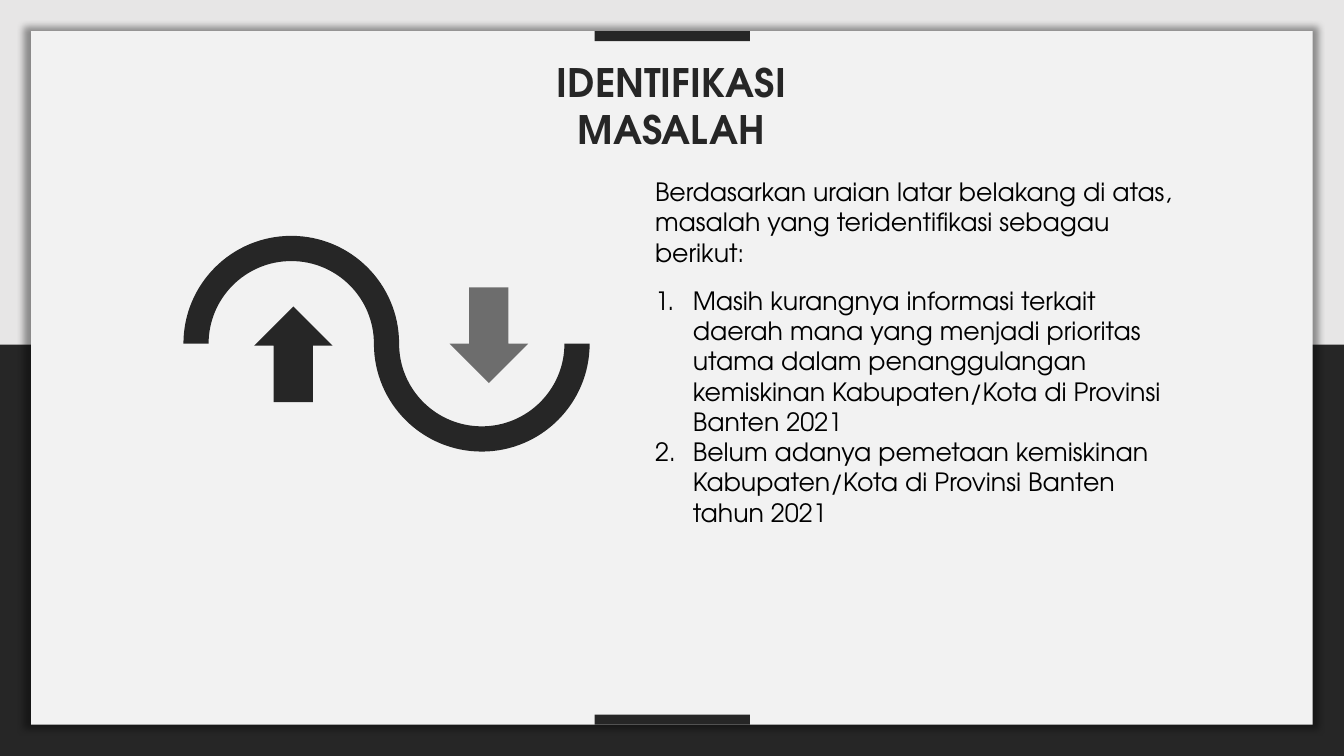
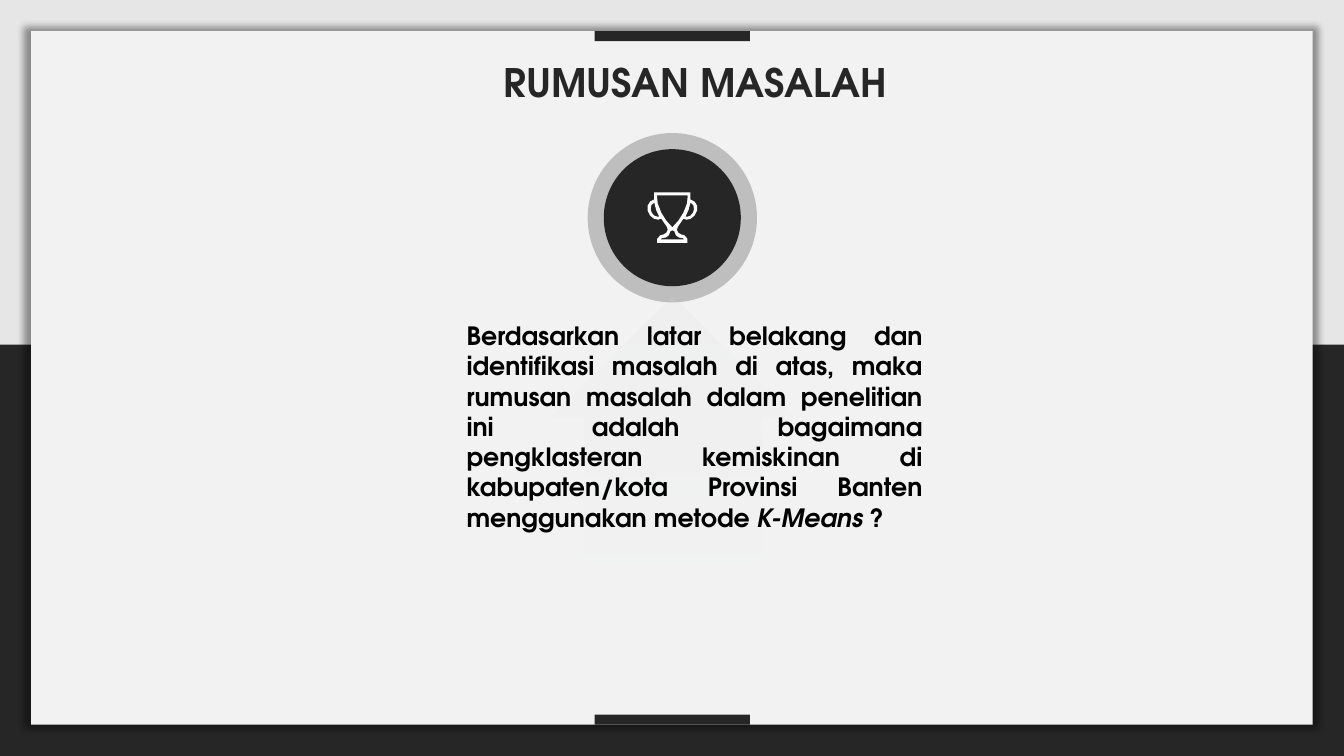
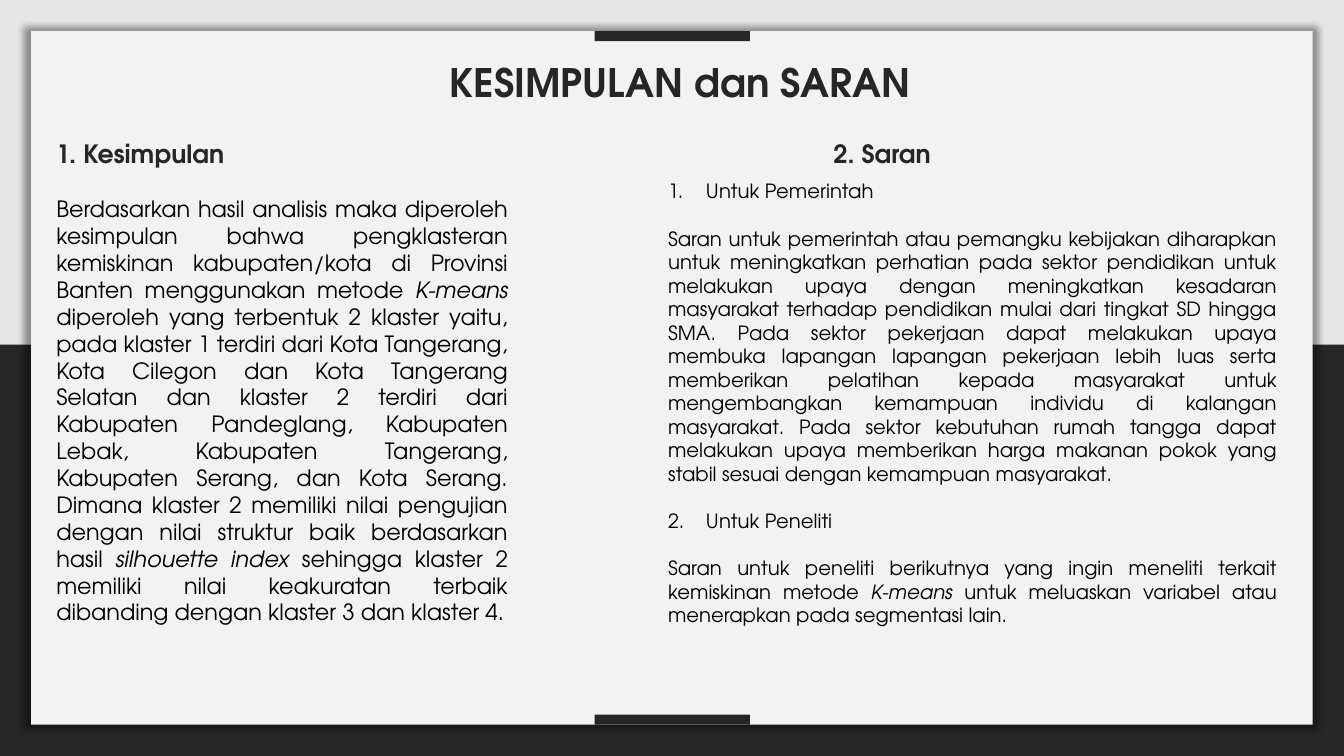
import math
import pptx
import pptx.util
import pptx.dml.color
import pptx.enum.shapes
import pptx.enum.text
import pptx.oxml
import pptx.oxml.ns

Inches = pptx.util.Inches
Pt = pptx.util.Pt
RGBColor = pptx.dml.color.RGBColor
KIND = pptx.enum.shapes.MSO_SHAPE
ALIGN = pptx.enum.text.PP_ALIGN
qn = pptx.oxml.ns.qn

DARK = RGBColor(0x26, 0x26, 0x26)
GREY = RGBColor(0xE7, 0xE6, 0xE6)
PAPER = RGBColor(0xF2, 0xF2, 0xF2)
HAZE = RGBColor(0xDD, 0xE0, 0xE5)
BLACK = RGBColor(0, 0, 0)
WHITE = RGBColor(255, 255, 255)
FONT = "TeX Gyre Adventor"
WIDE, HIGH = 40 / 3, 7.5
EDGE = 0.31
INDENT = 3 / 8
GAP = 16.9
BEND = 4 / 3 * (math.sqrt(2) - 1)

CUP = [(0, 0), (180, 0), (180, 70), (220, 90), (245, 130), (245, 180), (220, 230),
       (180, 262), (140, 270), (110, 260), (55, 340), (45, 370), (60, 400),
       (90, 418), (120, 425), (150, 460), (150, 500), (0, 500)]
BOWL = [(0, 30), (153, 30), (145, 110), (110, 200), (60, 280), (0, 345)]
STEM = [(0, 375), (20, 385), (35, 425), (65, 447), (100, 452), (120, 465), (0, 465)]
EAR = [(180, 100), (208, 125), (215, 165), (205, 200), (180, 230), (150, 240),
       (130, 240), (160, 175)]


def add_xml(parent, tag, **attrs):
    node = parent.makeelement(qn(tag), {key: str(val) for key, val in attrs.items()})
    parent.append(node)
    return node


def fade(shape, alphas):
    tones = shape._element.spPr.iter(qn("a:srgbClr"))
    for tone, alpha in zip(tones, alphas):
        add_xml(tone, "a:alpha", val=alpha * 1000)


def paint(shape, color, alpha=100):
    shape.shadow.inherit = False
    shape.line.fill.background()
    shape.fill.solid()
    shape.fill.fore_color.rgb = color
    if alpha < 100:
        fade(shape, [alpha])


def block(slide, kind, box, color, alpha=100):
    shape = slide.shapes.add_shape(kind, *map(Inches, box))
    paint(shape, color, alpha)
    return shape


def glow(shape):
    effects = shape._element.spPr.find(qn("a:effectLst"))
    shade = add_xml(effects, "a:outerShdw", blurRad=Pt(5), sx=101000, sy=101000,
                    algn="ctr", rotWithShape=0)
    tone = add_xml(shade, "a:srgbClr", val="000000")
    add_xml(tone, "a:alpha", val=40000)


def write(slide, box, paras, size, color=BLACK, bold=False, align=ALIGN.LEFT, gap=0):
    frame = slide.shapes.add_textbox(*map(Inches, box)).text_frame
    frame.word_wrap = True
    for index, (runs, number) in enumerate(paras):
        para = frame.paragraphs[0] if index == 0 else frame.add_paragraph()
        para.alignment = align
        if index and gap:
            para.space_before = Pt(gap)
        if number:
            props = para._p.get_or_add_pPr()
            props.set("marL", str(Inches(INDENT)))
            props.set("indent", str(-Inches(INDENT)))
            add_xml(props, "a:buFont", typeface="+mj-lt")
            add_xml(props, "a:buAutoNum", type="arabicPeriod", startAt=number)
        for place, text in enumerate(runs):
            run = para.add_run()
            run.text = text
            run.font.name = FONT
            run.font.size = Pt(size)
            run.font.color.rgb = color
            run.font.bold = bold
            run.font.italic = place % 2 == 1


def head(slide, text, left, width, height=0.57):
    write(slide, (left, 0.53, width, height), [([text], 0)], 28, DARK, True, ALIGN.CENTER)


def base(deck):
    slide = deck.slides.add_slide(deck.slide_layouts[6])
    block(slide, KIND.RECTANGLE, (-0.02, 0, 13.38, 3.42), GREY)
    high = HIGH - 2 * EDGE
    glow(block(slide, KIND.RECTANGLE, (EDGE, EDGE, WIDE - 2 * EDGE, high), PAPER))
    for top in (EDGE, HIGH - EDGE - 0.1):
        block(slide, KIND.RECTANGLE, (5.9, top, 1.54, 0.1), DARK)
    return slide


def trace(slide, paths):
    pen = None
    for path in paths:
        spots = [(Inches(x), Inches(y)) for x, y in path]
        if pen is None:
            pen = slide.shapes.build_freeform(*spots[0], scale=1.0)
        else:
            pen.move_to(*spots[0])
        pen.add_line_segments(spots[1:], close=True)
    return pen.convert_to_shape()


def bend(shape):
    lines = list(shape._element.spPr.iter(qn("a:lnTo")))
    for first in range(0, len(lines) - 2, 3):
        group = lines[first:first + 3]
        curve = group[0].makeelement(qn("a:cubicBezTo"), {})
        group[0].addprevious(curve)
        for line in group:
            curve.append(line[0])
            line.getparent().remove(line)


def arc(x, y, radius, start, turn):
    spots = []
    for step in range(2):
        a = math.radians(start + step * turn)
        b = math.radians(start + (step + 1) * turn)
        pull = math.copysign(BEND, turn)
        spots += [(math.cos(a) - pull * math.sin(a), math.sin(a) + pull * math.cos(a)),
                  (math.cos(b) + pull * math.sin(b), math.sin(b) - pull * math.cos(b)),
                  (math.cos(b), math.sin(b))]
    return [(x + radius * dx, y + radius * dy) for dx, dy in spots]


def wave(slide, left, top):
    outer, inner = 1.07, 0.82
    x1, y = left + outer, top + outer - 0.01
    x2 = x1 + outer + inner
    tip, hook = (x1 - outer, y), (x1 - inner, y)
    path = ([(x2 + inner, y)] + arc(x2, y, inner, 0, 90) + arc(x1, y, outer, 0, -90)
            + [tip, hook, hook] + arc(x1, y, inner, 180, 90) + arc(x2, y, outer, 180, -90))
    shape = trace(slide, [path])
    bend(shape)
    paint(shape, DARK)
    block(slide, KIND.UP_ARROW, (left + 0.7, top + 0.69, 0.78, 0.95), DARK)
    block(slide, KIND.DOWN_ARROW, (left + 2.64, top + 0.5, 0.78, 0.95), DARK, 65)


def flip(half):
    return [(-x, y) for x, y in reversed(half)]


def trophy(slide, x, y):
    paths = [half + flip(half)[1:-1] for half in (CUP, BOWL, STEM)] + [EAR, flip(EAR)]
    icon = trace(slide, [[(x + dx / 1000, y + dy / 1000) for dx, dy in path]
                         for path in paths])
    paint(icon, WHITE)


def badge(slide, left, top, size):
    rim = 0.16
    block(slide, KIND.OVAL, (left, top, size, size), DARK, 25)
    block(slide, KIND.OVAL, (left + rim, top + rim, size - 2 * rim, size - 2 * rim), DARK)
    trophy(slide, left + size / 2, top + 0.59)


def ghost(slide, box):
    arrow = block(slide, KIND.UP_ARROW, box, HAZE)
    arrow.adjustments[0] = 0.73
    arrow.adjustments[1] = 0.5
    arrow.fill.gradient()
    arrow.fill.gradient_angle = 270
    for stop, place in zip(arrow.fill.gradient_stops, (0, 0.9)):
        stop.color.rgb = HAZE
        stop.position = place
    fade(arrow, (13, 0))


def issues(deck):
    slide = base(deck)
    head(slide, "IDENTIFIKASI MASALAH", 5.3, 2.72, 1.04)
    wave(slide, 1.82, 2.35)
    write(slide, (6.4, 1.7, 5.35, 1.01), [
        (["Berdasarkan uraian latar belakang di atas, masalah yang teridentifikasi "
          "sebagau berikut:"], 0)], 18)
    write(slide, (6.4, 2.78, 5.35, 2.52), [
        (["Masih kurangnya informasi terkait daerah mana yang menjadi prioritas utama "
          "dalam penanggulangan kemiskinan Kabupaten/Kota di Provinsi Banten 2021"], 1),
        (["Belum adanya pemetaan kemiskinan Kabupaten/Kota di Provinsi Banten "
          "tahun 2021"], 2)], 18)


def question(deck):
    slide = base(deck)
    badge(slide, 5.83, 1.32, 1.68)
    ghost(slide, (5.47, 2.94, 2.4, 3.07))
    write(slide, (4.53, 3.13, 4.72, 2.22), [
        (["Berdasarkan latar belakang dan identifikasi masalah di atas, maka rumusan "
          "masalah dalam penelitian ini adalah bagaimana pengklasteran kemiskinan di "
          "kabupaten/kota Provinsi Banten menggunakan metode ", "K-Means ", "?"], 0)],
        18, bold=True, align=ALIGN.JUSTIFY)
    head(slide, "RUMUSAN MASALAH", 4.75, 4.29)


def closing(deck):
    slide = base(deck)
    head(slide, "KESIMPULAN dan SARAN", 4.08, 5.33)
    for left, text in ((0.46, "1. Kesimpulan"), (8.17, "2. Saran")):
        write(slide, (left, 1.32, 2.1, 0.4), [([text], 0)], 18, DARK, True)
    write(slide, (0.46, 1.89, 4.68, 4.41), [
        (["Berdasarkan hasil analisis maka diperoleh kesimpulan bahwa pengklasteran "
          "kemiskinan kabupaten/kota di Provinsi Banten menggunakan metode ",
          "K-means ",
          "diperoleh yang terbentuk 2 klaster yaitu, pada klaster 1 terdiri dari Kota "
          "Tangerang, Kota Cilegon dan Kota Tangerang Selatan dan klaster 2 terdiri dari "
          "Kabupaten Pandeglang, Kabupaten Lebak, Kabupaten Tangerang, Kabupaten Serang, "
          "dan Kota Serang. Dimana klaster 2 memiliki nilai pengujian dengan nilai "
          "struktur baik berdasarkan hasil ",
          "silhouette index ",
          "sehingga klaster 2 memiliki nilai keakuratan terbaik dibanding dengan klaster "
          "3 dan klaster 4."], 0)], 16, align=ALIGN.JUSTIFY)
    write(slide, (6.53, 1.73, 6.24, 4.58), [
        (["Untuk Pemerintah "], 1),
        (["Saran untuk pemerintah atau pemangku kebijakan diharapkan untuk meningkatkan "
          "perhatian pada sektor pendidikan untuk melakukan upaya dengan meningkatkan "
          "kesadaran masyarakat terhadap pendidikan mulai dari tingkat SD hingga SMA. "
          "Pada sektor pekerjaan dapat melakukan upaya membuka lapangan lapangan "
          "pekerjaan lebih luas serta memberikan pelatihan kepada masyarakat untuk "
          "mengembangkan kemampuan individu di kalangan masyarakat. Pada sektor "
          "kebutuhan rumah tangga dapat melakukan upaya memberikan harga makanan pokok "
          "yang stabil sesuai dengan kemampuan masyarakat."], 0),
        (["Untuk Peneliti"], 2),
        (["Saran untuk peneliti berikutnya yang ingin meneliti terkait kemiskinan metode ",
          "K-means ", "untuk meluaskan variabel atau menerapkan pada segmentasi lain."], 0)],
        14, align=ALIGN.JUSTIFY, gap=GAP)


def main():
    deck = pptx.Presentation()
    deck.slide_width, deck.slide_height = Inches(WIDE), Inches(HIGH)
    ground = deck.slide_master.background.fill
    ground.solid()
    ground.fore_color.rgb = DARK
    issues(deck)
    question(deck)
    closing(deck)
    deck.save("out.pptx")


if __name__ == "__main__":
    main()
